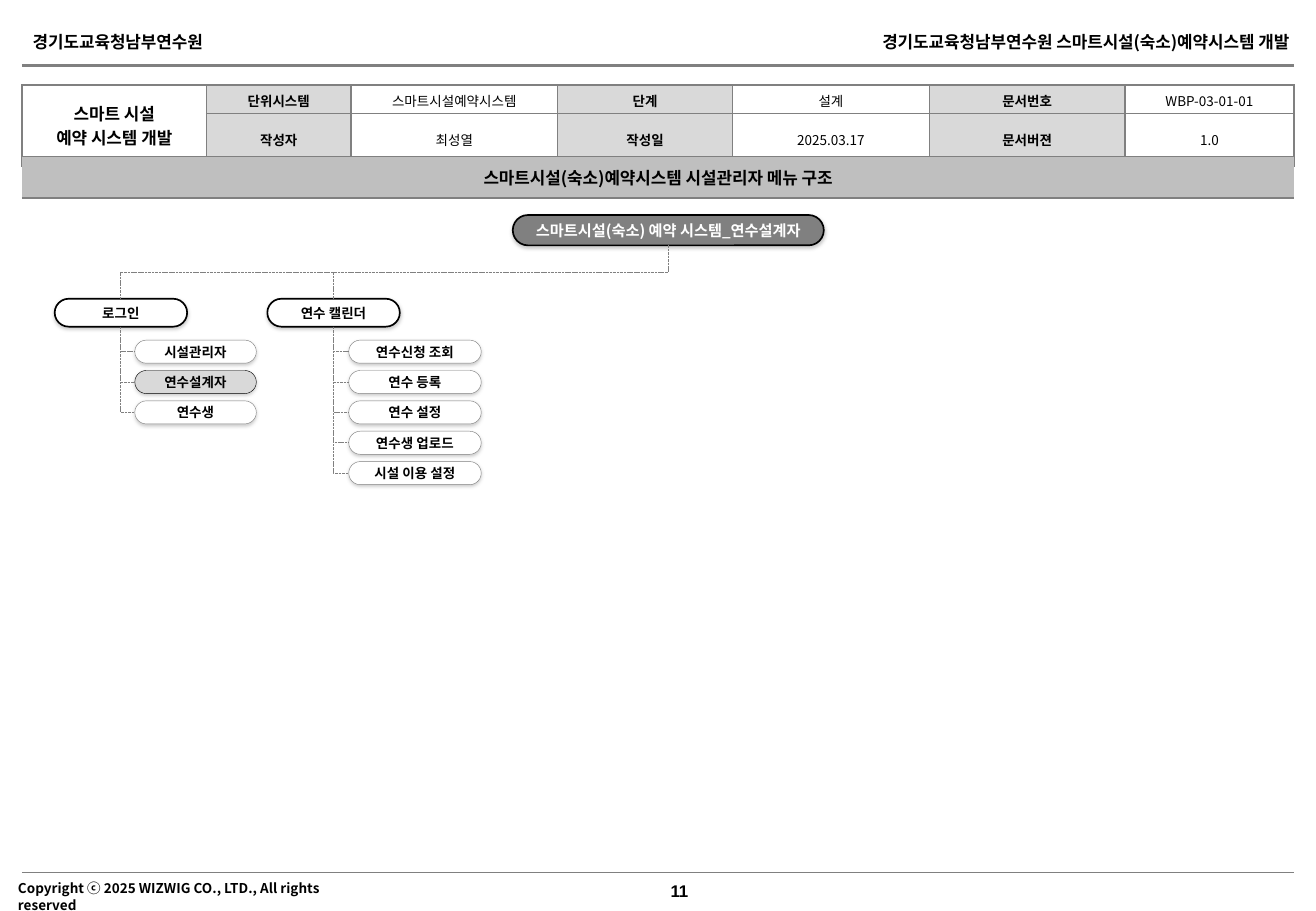
"""Build the menu structure slide of the facility reservation system."""
from lxml import etree
from pptx import Presentation
from pptx.dml.color import RGBColor
from pptx.enum.dml import MSO_LINE
from pptx.enum.shapes import MSO_CONNECTOR, MSO_SHAPE
from pptx.enum.text import MSO_ANCHOR, MSO_AUTO_SIZE, PP_ALIGN
from pptx.oxml import parse_xml
from pptx.oxml.ns import nsdecls, qn
from pptx.util import Inches, Pt

STRAIGHT, ELBOW = MSO_CONNECTOR.STRAIGHT, MSO_CONNECTOR.ELBOW
PILL = MSO_SHAPE.ROUNDED_RECTANGLE
SYS_DASH = MSO_LINE.SQUARE_DOT
TOP, MIDDLE = MSO_ANCHOR.TOP, MSO_ANCHOR.MIDDLE
FIXED_SIZE = MSO_AUTO_SIZE.NONE
LEFT, CENTER, RIGHT = PP_ALIGN.LEFT, PP_ALIGN.CENTER, PP_ALIGN.RIGHT
KOREAN = "Noto Sans CJK KR"
BLACK, WHITE, GRAY = "000000", "FFFFFF", "808080"
LIGHT, SILVER = "D9D9D9", "BFBFBF"
SHADOW = (
    f'<a:effectLst {nsdecls("a")}><a:outerShdw blurRad="25400" dist="12700" dir="5400000" '
    'algn="t" rotWithShape="0"><a:srgbClr val="808080"><a:alpha val="40000"/></a:srgbClr>'
    "</a:outerShdw></a:effectLst>"
)
rgb = RGBColor.from_string


def write(frame, text, size, color=BLACK, bold=True, align=CENTER, face=KOREAN):
    """Fill a text frame, one paragraph for each line of text."""
    for index, line in enumerate(text.split("\n")):
        paragraph = frame.add_paragraph() if index else frame.paragraphs[0]
        paragraph.alignment = align
        run = paragraph.add_run()
        run.text = line
        run.font.size, run.font.bold = Pt(size), bold
        run.font.color.rgb = rgb(color)
        run.font.name = face
        etree.SubElement(run.font._element, qn("a:ea")).set("typeface", face)


def style_line(connector, width):
    """Give a connector a gray line and no shadow."""
    connector.line.color.rgb = rgb(GRAY)
    connector.line.width = Pt(width)
    etree.SubElement(connector._element.spPr, qn("a:effectLst"))


prs = Presentation()
prs.slide_width, prs.slide_height = Inches(10.83), Inches(7.5)
slide = prs.slides.add_slide(prs.slide_layouts[5])
shapes = slide.shapes

for rule_y, rule_width in [(7.18, 0.25), (0.54, 1.5)]:
    rule = shapes.add_connector(
        STRAIGHT, Inches(0.18), Inches(rule_y), Inches(10.65), Inches(rule_y)
    )
    style_line(rule, rule_width)

project = shapes.title
project.left, project.top = Inches(7.04), Inches(0.21)
project.width, project.height = Inches(3.67), Inches(0.27)
project.text_frame.vertical_anchor = TOP
project.text_frame.auto_size = FIXED_SIZE
project.text_frame.word_wrap = True
write(project.text_frame, "경기도교육청남부연수원 스마트시설(숙소)예약시스템 개발", 10, align=RIGHT)

page_labels = [
    ("경기도교육청남부연수원", 0.17, 0.21, 1.65, 0.27, 10, KOREAN),
    ("Copyright ⓒ 2025 WIZWIG CO., LTD., All rights reserved",
     0.05, 7.2, 3.13, 0.24, 8, KOREAN),
    ("11", 5.42, 7.2, 0.39, 0.27, 10, "Arial"),
]
for text, left, top, width, height, size, face in page_labels:
    label = shapes.add_textbox(Inches(left), Inches(top), Inches(width), Inches(height))
    label.text_frame.word_wrap = True
    write(label.text_frame, text, size, align=LEFT, face=face)

document_rows = [
    ["스마트 시설\n예약 시스템 개발", "단위시스템", "스마트시설예약시스템", "단계", "설계",
     "문서번호", "WBP-03-01-01"],
    ["", "작성자", "최성열", "작성일", "2025.03.17", "문서버젼", "1.0"],
]
banner_rows = [["스마트시설(숙소)예약시스템 시설관리자 메뉴 구조"]]
tables = [
    (document_rows, 0.7, 0.16, [1.52, 1.19, 1.7, 1.44, 1.62, 1.61, 1.39], 0.11, "LRTB"),
    (banner_rows, 1.29, 0.34, [10.47], 0.06, "TB"),
]
for rows, top, row_height, widths, inset, bordered in tables:
    table = shapes.add_table(
        len(rows), len(widths), Inches(0.18), Inches(top),
        Inches(sum(widths)), Inches(row_height * len(rows)),
    ).table
    table.first_row = table.horz_banding = False
    for column, width in zip(table.columns, widths):
        column.width = Inches(width)
    for r, row in enumerate(rows):
        for c, text in enumerate(row):
            cell = table.cell(r, c)
            cell.vertical_anchor = MIDDLE
            cell.margin_left = cell.margin_right = Inches(inset)
            cell.margin_top = cell.margin_bottom = Inches(0.05)
            for side in "LRTB":
                border = etree.SubElement(cell._tc.get_or_add_tcPr(), qn(f"a:ln{side}"))
                if side in bordered:
                    border.set("w", str(Pt(1)))
                    paint = etree.SubElement(border, qn("a:solidFill"))
                    etree.SubElement(paint, qn("a:srgbClr")).set("val", GRAY)
                else:
                    etree.SubElement(border, qn("a:noFill"))
            is_banner = rows is banner_rows
            is_heading = c % 2 == 1
            cell.fill.solid()
            cell.fill.fore_color.rgb = rgb(SILVER if is_banner else LIGHT if is_heading else WHITE)
            if text:
                write(cell.text_frame, text, 10 if c == 0 else 8, bold=c == 0 or is_heading)
    if len(rows) > 1:
        table.cell(0, 0).merge(table.cell(1, 0))

menus = [
    ("로그인", 0.45, 1.11, 1, ["시설관리자", "연수설계자", "연수생"]),
    ("연수 캘린더", 2.2, 2.87, 1.09,
     ["연수신청 조회", "연수 등록", "연수 설정", "연수생 업로드", "시설 이용 설정"]),
]
CURRENT = "연수설계자"
root_x, root_bottom = 5.5, 2.02
menu_top, menu_width, menu_height = 2.46, 1.09, 0.23
item_top, item_step, item_height = 2.8, 0.25, 0.19

nodes = [("스마트시설(숙소) 예약 시스템_연수설계자", 4.22, 1.77, 2.56, 0.25, GRAY, BLACK, 1, 9, WHITE)]
branches = []
for menu, menu_left, item_left, item_width, items in menus:
    menu_x = menu_left + menu_width / 2
    nodes.append((menu, menu_left, menu_top, menu_width, menu_height, WHITE, BLACK, 1, 8, BLACK))
    branches.append((root_x, root_bottom, menu_x, menu_top))
    for i, item in enumerate(items):
        y = item_top + i * item_step
        fill, outline = (LIGHT, BLACK) if item == CURRENT else (WHITE, GRAY)
        nodes.append((item, item_left, y, item_width, item_height, fill, outline, 0.25, 8, BLACK))
        branches.append((menu_x, menu_top + menu_height, item_left, y + item_height / 2))

for text, left, top, width, height, fill, outline, weight, size, color in nodes:
    node = shapes.add_shape(PILL, Inches(left), Inches(top), Inches(width), Inches(height))
    node.adjustments[0] = 0.5
    node.fill.solid()
    node.fill.fore_color.rgb = rgb(fill)
    node.line.color.rgb = rgb(outline)
    node.line.width = Pt(weight)
    node._element.spPr.append(parse_xml(SHADOW))
    frame = node.text_frame
    frame.word_wrap = True
    frame.vertical_anchor = MIDDLE
    frame.margin_left = frame.margin_right = Inches(0.04)
    frame.margin_top = frame.margin_bottom = Inches(0.05)
    write(frame, text, size, color)

for x1, y1, x2, y2 in branches:
    to_item = x2 > x1
    center_x, center_y = (x1 + x2) / 2, (y1 + y2) / 2
    half_run, half_rise = (y2 - y1) / 2, abs(x2 - x1) / 2
    start = half_run if to_item else -half_run
    branch = shapes.add_connector(
        ELBOW, Inches(center_x + start), Inches(center_y - half_rise),
        Inches(center_x - start), Inches(center_y + half_rise),
    )
    properties = branch._element.spPr
    properties.find(qn("a:xfrm")).set("rot", str((270 if to_item else 90) * 60000))
    if to_item:
        properties.find(qn("a:prstGeom")).set("prst", "bentConnector2")
    style_line(branch, 0.5)
    branch.line.dash_style = SYS_DASH

prs.save("out.pptx")
